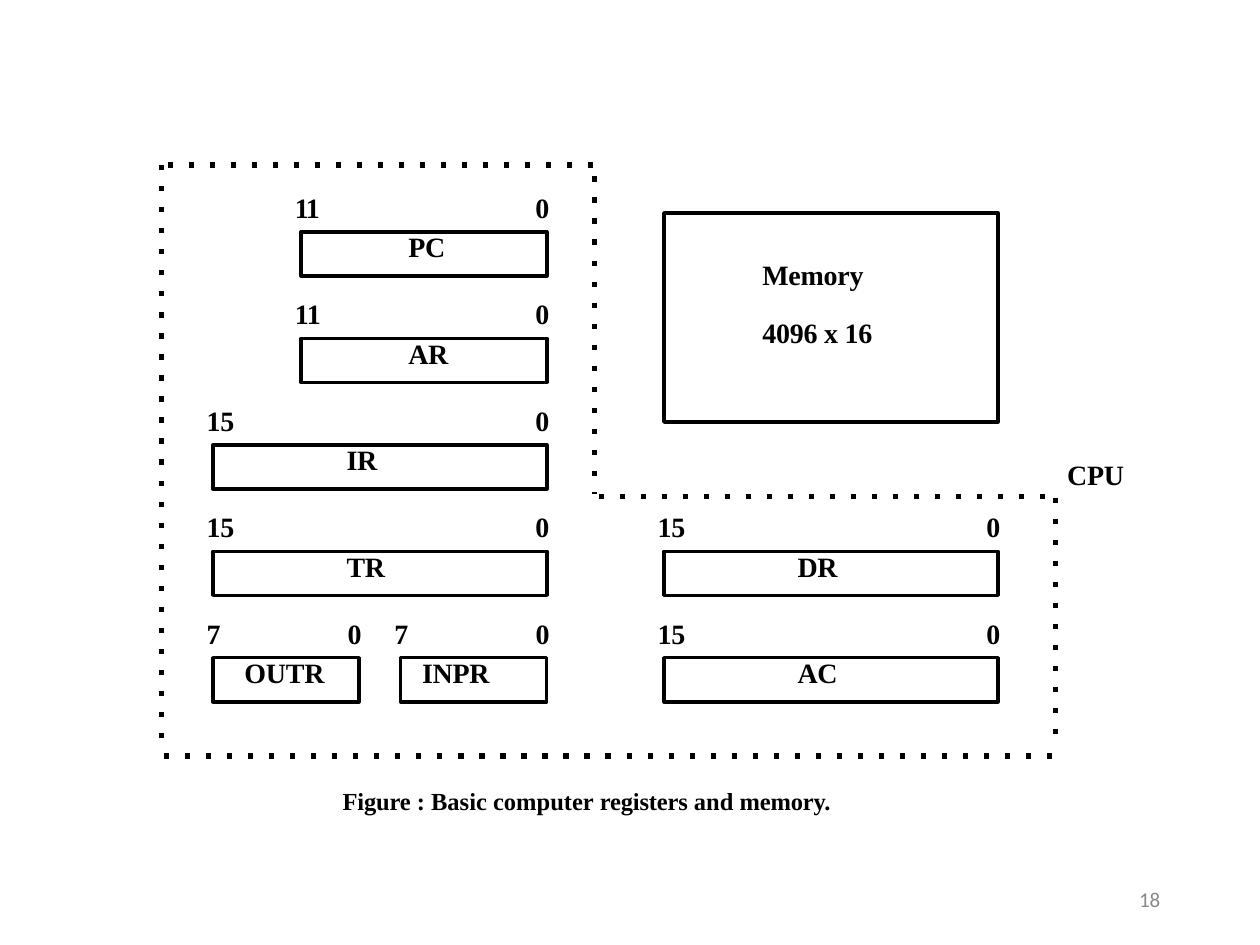
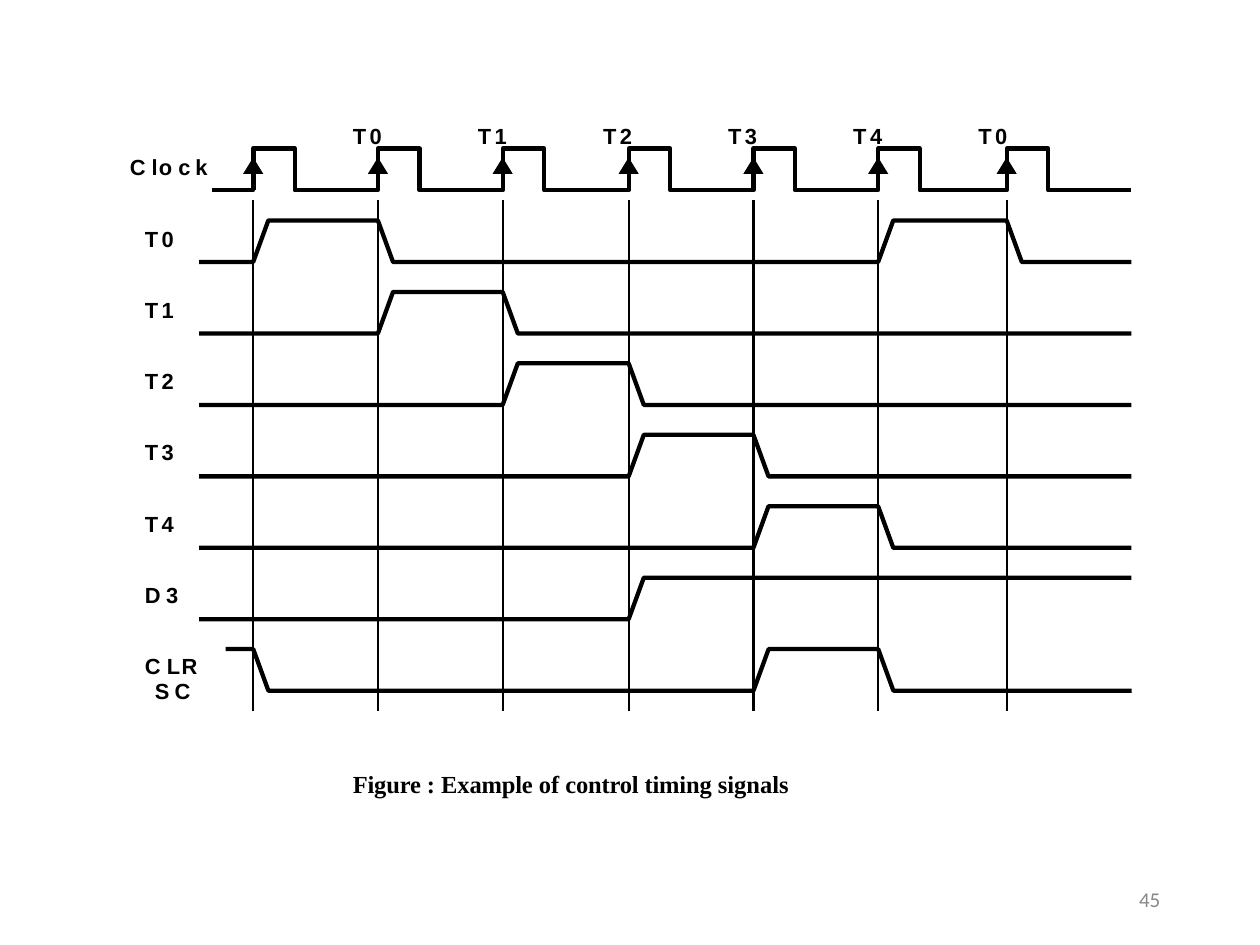
from lxml.etree import SubElement
from pptx import Presentation
from pptx.dml.color import RGBColor
from pptx.enum.shapes import MSO_CONNECTOR, MSO_SHAPE
from pptx.enum.text import MSO_ANCHOR, MSO_AUTO_SIZE, PP_ALIGN
from pptx.oxml.ns import qn
from pptx.util import Inches, Pt

BLACK, GREY = "000000", "888888"
SERIF = dict(name="Times New Roman", size=Pt(16), bold=True)
CAPTION = dict(SERIF, size=Pt(14))
SIGNAL = dict(name="Arial", size=Pt(12.5), bold=True)
NUMBER = dict(name="Calibri", size=Pt(12), bold=False)

# Captions as runs of (text, letter spacing)
REGISTER_CAPTION = [("Figure ", -0.1), (": Basic computer ", 0), ("registers ", -0.1),
                    ("and ", 0), ("memory.", -0.1)]
TIMING_CAPTION = [("Figure ", -0.1), (": ", 0), ("Example ", -0.1), ("of ", 0),
                  ("control timing ", -0.1), ("signals", 0)]

# Registers: name, left, row, width, highest bit, its spacing, name indent
ROW_TOP, ROW_PITCH, BOX_H = 1.84, 0.845, 0.35
REGISTERS = [
    ("PC", 2.39, 0, 1.95, "11", -0.8, 0.85),
    ("AR", 2.39, 1, 1.95, "11", -0.1, 0.85),
    ("IR", 1.69, 2, 2.65, "15", -0.1, 1.06),
    ("TR", 1.69, 3, 2.65, "15", -0.1, 1.06),
    ("OUTR", 1.69, 4, 1.16, "7", -0.1, 0.25),
    ("INPR", 3.18, 4, 1.16, "7", -0.1, 0.17),
    ("DR", 5.27, 3, 2.65, "15", -0.1, 1.06),
    ("AC", 5.27, 4, 2.65, "15", -0.1, 1.06),
]
MEMORY = ["Memory", "4096 x 16"]
CPU_BORDER = [
    (1.28, 1.31, 1.28, 5.89), (1.33, 1.31, 4.72, 1.31), (4.72, 1.4, 4.72, 3.92),
    (4.75, 3.94, 8.36, 3.94), (8.38, 3.95, 8.38, 5.86), (1.3, 6, 8.42, 6),
]

# Timing: label runs, start, starts high, edges where it switches
EDGES = [2.01, 3, 3.99, 4.99, 5.98, 6.97, 7.99]
RIGHT, SWING, SLOPE = 8.98, 0.33, 0.12
CLOCK_TOP, WAVE_TOP, WAVE_PITCH = 1.18, 1.75, 0.567
LABEL_TOP, LABEL_PITCH = 1.78, 0.565
CLOCK = [("C", 3.5), ("l", 0.7), ("o", 3.5), ("c", 2.8), ("k", 2.5)]
PERIODS = ["T0", "T1", "T2", "T3", "T4", "T0"]
WAVES = [
    ([("T0", 2)], 1.58, False, [0, 1, 5, 6]),
    ([("T1", 2)], 1.58, False, [1, 2]),
    ([("T2", 2)], 1.58, False, [2, 3]),
    ([("T3", 2)], 1.58, False, [3, 4]),
    ([("T4", 2)], 1.58, False, [4, 5]),
    ([("D3", 3.1)], 1.58, False, [3]),
    ([("C", 3.5), ("L", 0.8), ("R", 1.9)], 1.79, True, [0, 4, 5]),
]


def rgb(color):
    return RGBColor.from_string(color)


def write(p, runs, style, color=BLACK):
    for words, spacing in runs:
        r = p.add_run()
        r.text = words
        for key, value in style.items():
            setattr(r.font, key, value)
        r.font.color.rgb = rgb(color)
        r._r.get_or_add_rPr().set("spc", str(round(spacing * 100)))


def set_frame(tf, left=0.01, top=0.01):
    frame = dict(margin_left=Inches(left), margin_top=Inches(top), margin_right=0,
                 margin_bottom=0, vertical_anchor=MSO_ANCHOR.TOP,
                 auto_size=MSO_AUTO_SIZE.NONE)
    for key, value in frame.items():
        setattr(tf, key, value)


def add_text(s, x, y, w, h, runs, style, color=BLACK, tab=None):
    tf = s.shapes.add_textbox(Inches(x), Inches(y), Inches(w), Inches(h)).text_frame
    set_frame(tf)
    tf.word_wrap = False
    p = tf.paragraphs[0]
    if tab:
        tabs = SubElement(p._p.get_or_add_pPr(), qn("a:tabLst"))
        SubElement(tabs, qn("a:tab"), pos=str(Inches(tab)), algn="l")
    write(p, runs, style, color)


def add_box(s, x, y, w, h, lines, indent, top=0):
    sp = s.shapes.add_shape(MSO_SHAPE.RECTANGLE, Inches(x), Inches(y), Inches(w), Inches(h))
    sp.shadow.inherit = False
    sp.fill.background()
    sp.line.color.rgb = rgb(BLACK)
    sp.line.width = Pt(2)
    tf = sp.text_frame
    set_frame(tf, indent, top)
    for i, line in enumerate(lines):
        p = tf.add_paragraph() if i else tf.paragraphs[0]
        p.alignment = PP_ALIGN.LEFT
        p.line_spacing = Pt(18)
        if i:
            p.space_before = Pt(15)
        write(p, [(line, -0.1)], SERIF)


def add_line(s, x1, y1, x2, y2, width, dash=None):
    c = s.shapes.add_connector(MSO_CONNECTOR.STRAIGHT, *map(Inches, (x1, y1, x2, y2)))
    c.line.color.rgb = rgb(BLACK)
    c.line.width = Pt(width)
    pr = c._element.spPr
    if dash:
        SubElement(pr.find(qn("a:ln")), qn("a:prstDash"), val=dash)
    SubElement(pr, qn("a:effectLst"))


def add_wave(s, points):
    start, *rest = [(Inches(x), Inches(y)) for x, y in points]
    builder = s.shapes.build_freeform(*start)
    builder.add_line_segments(rest, close=False)
    sp = builder.convert_to_shape()
    sp.shadow.inherit = False
    sp.fill.background()
    sp.line.color.rgb = rgb(BLACK)
    sp.line.width = Pt(2.43)


def add_arrow(s, x, low):
    head = s.shapes.add_shape(MSO_SHAPE.ISOSCELES_TRIANGLE, Inches(x - 0.08),
                              Inches(1.25), Inches(0.16), Inches(0.13))
    head.shadow.inherit = False
    head.fill.solid()
    head.fill.fore_color.rgb = rgb(BLACK)
    head.line.fill.background()
    add_line(s, x, 1.38, x, low, 1.43)


def new_slide(prs, caption, x, y, w, number):
    s = prs.slides.add_slide(prs.slide_layouts[5])
    title = s.shapes.title
    title.left, title.top, title.width, title.height = map(Inches, (x, y, w, 0.26))
    tf = title.text_frame
    set_frame(tf)
    tf.word_wrap = False
    tf.paragraphs[0].alignment = PP_ALIGN.LEFT
    write(tf.paragraphs[0], caption, CAPTION)
    add_text(s, 9.03, 7.03, 0.25, 0.2, [(number, 0)], NUMBER, GREY)
    return s


def draw_registers(prs):
    s = new_slide(prs, REGISTER_CAPTION, 2.71, 6.23, 3.92, "18")
    for name, x, row, w, high, spacing, indent in REGISTERS:
        y = ROW_TOP + ROW_PITCH * row
        add_box(s, x, y, w, BOX_H, [name], indent)
        add_text(s, x - 0.06, y - 0.34, w + 0.09, 0.29,
                 [(high, spacing), ("\t0", -0.1)], SERIF, tab=w - 0.04)
    add_box(s, 5.27, 1.69, 2.65, 1.66, MEMORY, 0.78, 0.37)
    for ends in CPU_BORDER:
        add_line(s, *ends, 3, "dot")
    add_text(s, 8.46, 3.62, 0.48, 0.29, [("CPU", -0.1)], SERIF)


def draw_timing(prs):
    s = new_slide(prs, TIMING_CAPTION, 2.79, 6.09, 3.57, "45")

    # Clock pulses with a rising arrow and a guide line at each edge
    low = CLOCK_TOP + SWING
    pulses = [(1.68, low)]
    for x in EDGES:
        pulses += [(x, low), (x, CLOCK_TOP), (x + SWING, CLOCK_TOP), (x + SWING, low)]
        add_line(s, x, 1.59, x, 5.64, 1.25)
        add_arrow(s, x, low)
    add_wave(s, pulses + [(RIGHT, low)])
    add_line(s, EDGES[0], CLOCK_TOP, EDGES[0], low, 2.81)
    add_text(s, 1.02, 1.21, 0.68, 0.23, CLOCK, SIGNAL)
    for i, period in enumerate(PERIODS):
        add_text(s, 2.79 + 0.993 * i, 0.96, 0.29, 0.23, [(period, 2)], SIGNAL)

    # Signals
    for row, (label, start, is_high, switches) in enumerate(WAVES):
        top = WAVE_TOP + WAVE_PITCH * row
        y = top if is_high else top + SWING
        points = [(start, y)]
        for i in switches:
            points.append((EDGES[i], y))
            y = 2 * top + SWING - y
            points.append((EDGES[i] + SLOPE, y))
        add_wave(s, points + [(RIGHT, y)])
        label_top = LABEL_TOP + LABEL_PITCH * row
        add_text(s, 1.14, label_top, 0.45, 0.23, label, SIGNAL)
    add_text(s, 1.22, label_top + 0.2, 0.4, 0.23, [("SC", 2.9)], SIGNAL)


def main():
    prs = Presentation()
    prs.slide_width, prs.slide_height = Inches(10), Inches(7.5)
    draw_registers(prs)
    draw_timing(prs)
    prs.save("out.pptx")


if __name__ == "__main__":
    main()
